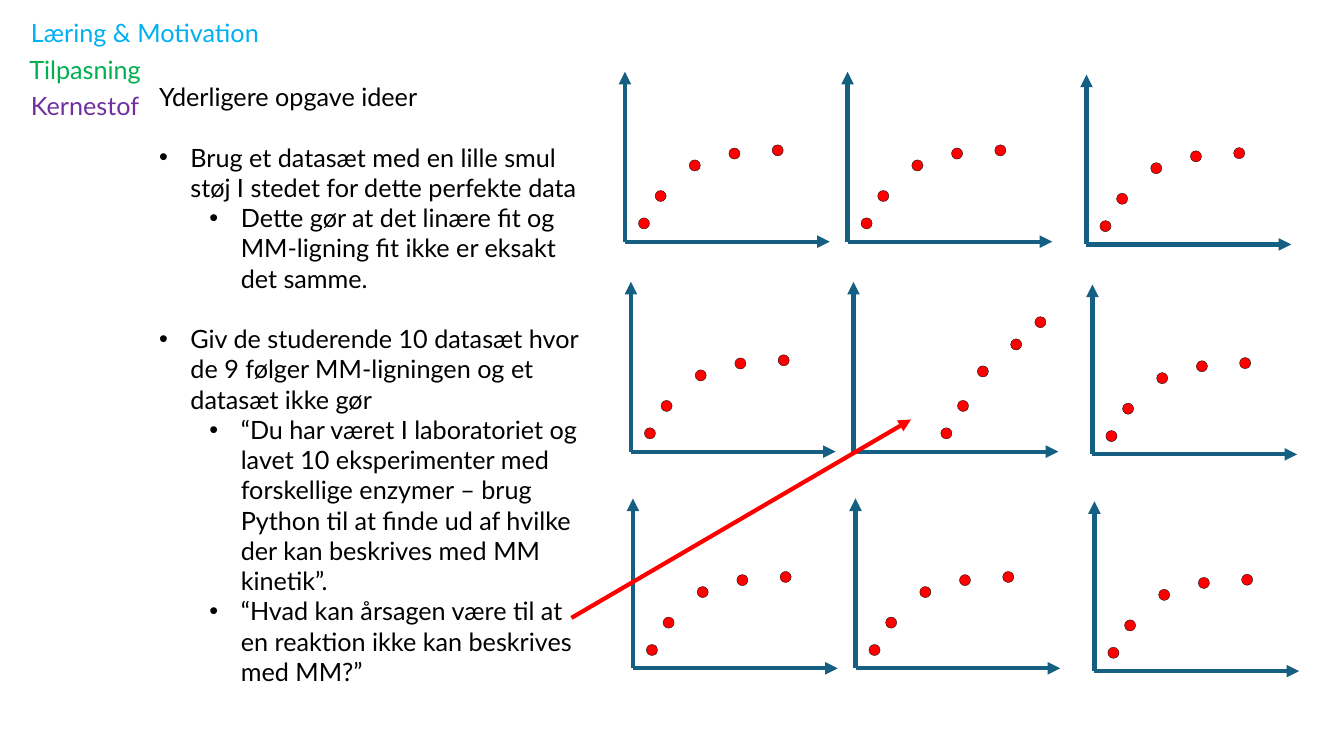
from lxml.etree import SubElement
from pptx import Presentation
from pptx.dml.color import RGBColor
from pptx.enum.shapes import MSO_CONNECTOR, MSO_SHAPE
from pptx.oxml.ns import qn
from pptx.util import Cm, Pt

theme = {
    "black": RGBColor.from_string("000000"),
    "blue": RGBColor.from_string("00B0F0"),
    "green": RGBColor.from_string("00B050"),
    "purple": RGBColor.from_string("7030A0"),
    "axis": RGBColor.from_string("156082"),
    "red": RGBColor.from_string("FF0000"),
    "edge": RGBColor.from_string("0D0D0D"),
    "font": {"name": "Lato", "size": Pt(18)},
    "gap": Pt(21.6),
    "stroke": Pt(3),
    "thin": Pt(0.25),
}


def write(left, top, width, height, color, items):
    box = slide.shapes.add_textbox(Cm(left), Cm(top), Cm(width), Cm(height))
    frame = box.text_frame
    frame.word_wrap = True
    for num, (text, level, gap) in enumerate(items):
        para = frame.paragraphs[0] if num == 0 else frame.add_paragraph()
        if gap:
            para.space_before = theme["gap"]
        if level:
            para.level = level - 1
            props = para._p.get_or_add_pPr()
            props.set("marL", str(Cm(0.79 + 1.27 * (level - 1))))
            props.set("indent", str(Cm(-0.79)))
            SubElement(props, qn("a:buFont"), typeface="Arial")
            SubElement(props, qn("a:buChar"), char="•")
        run = para.add_run()
        run.text = text
        for key, value in theme["font"].items():
            setattr(run.font, key, value)
        run.font.color.rgb = theme[color]


def arrow(shapes, start, end, color):
    line = shapes.add_connector(
        MSO_CONNECTOR.STRAIGHT, *(Cm(value) for value in start + end))
    line.line.color.rgb = theme[color]
    line.line.width = theme["stroke"]
    SubElement(line.line._get_or_add_ln(), qn("a:tailEnd"), type="triangle")
    SubElement(line._element.spPr, qn("a:effectLst"))


deck = Presentation()
deck.slide_width, deck.slide_height = Cm(33.87), Cm(19.05)
slide = deck.slides.add_slide(deck.slide_layouts[6])

write(3.76, 1.93, 11.3, 15.65, "black", [
    ("Yderligere opgave ideer", 0, False),
    ("Brug et datasæt med en lille smul støj I stedet for dette perfekte data",
     1, True),
    ("Dette gør at det linære fit og MM-ligning fit ikke er eksakt det samme.",
     2, False),
    ("Giv de studerende 10 datasæt hvor de 9 følger MM-ligningen og et "
     "datasæt ikke gør", 1, True),
    ("“Du har været I laboratoriet og lavet 10 eksperimenter med forskellige "
     "enzymer – brug Python til at finde ud af hvilke der kan beskrives med "
     "MM kinetik”.", 2, False),
    ("“Hvad kan årsagen være til at en reaktion ikke kan beskrives med MM?”",
     2, False),
])

curve = [(0.34, 0.6), (0.76, 1.29), (1.62, 2.06), (2.62, 2.36), (3.71, 2.44)]
ramp = [(2.2, 0.6), (2.62, 1.29), (3.12, 2.16), (3.96, 2.84), (4.57, 3.4)]
cols = [(15.75, 0), (21.36, 0), (27.38, 0.07)]
rows = [(0, 6.09), (0.15, 11.38), (0.2, 16.84)]

for row, (shift, base) in enumerate(rows):
    for col, (left, drop) in enumerate(cols):
        x, y = left + shift, base + drop
        plot = slide.shapes.add_group_shape().shapes
        arrow(plot, (x, y), (x + 5.16, y), "axis")
        arrow(plot, (x, y), (x, y - 4.28), "axis")
        for right, rise in ramp if row == col == 1 else curve:
            dot = plot.add_shape(MSO_SHAPE.OVAL, Cm(x + right), Cm(y - rise),
                                 Cm(0.28), Cm(0.28))
            dot.shadow.inherit = False
            dot.fill.solid()
            dot.fill.fore_color.rgb = theme["red"]
            dot.line.color.rgb = theme["edge"]
            dot.line.width = theme["thin"]

for text, left, top, width, color in [
    ("Kernestof", 0.53, 2.16, 21.39, "purple"),
    ("Tilpasning", 0.49, 1.24, 16.94, "green"),
    ("Læring & Motivation", 0.53, 0.3, 19.91, "blue"),
]:
    write(left, top, width, 1.02, color, [(text, 0, False)])

arrow(slide.shapes, (14.4, 15.57), (22.96, 10.57), "red")

deck.save("out.pptx")
